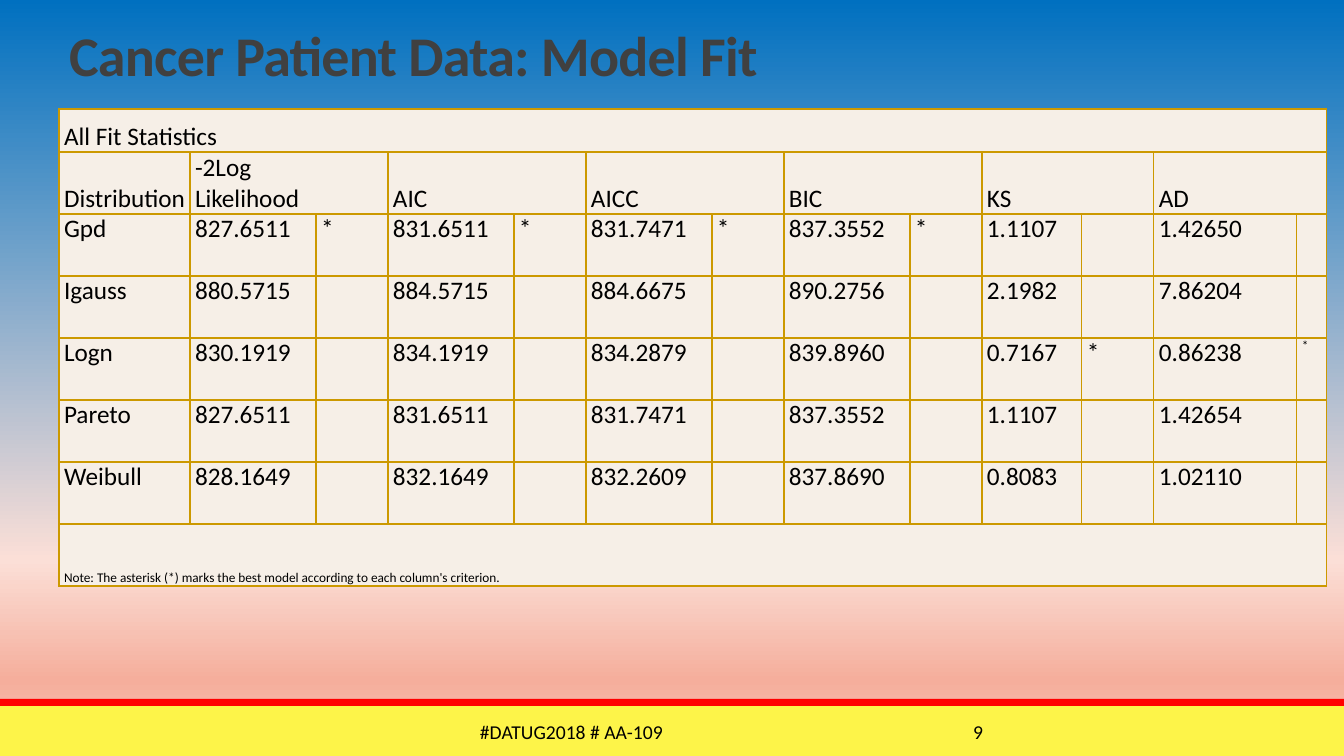
"""Build the model fit slide for the cancer patient data."""
import dataclasses
import typing

import pptx
import pptx.dml.color
import pptx.enum.dml
import pptx.enum.shapes
import pptx.enum.text
import pptx.oxml
import pptx.oxml.ns
import pptx.util

EMU_PER_PX = 914400 / 100.8
FONT = "Calibri"
ALIGN = pptx.enum.text.PP_ALIGN
ANCHOR = pptx.enum.text.MSO_ANCHOR

BLACK = pptx.dml.color.RGBColor(0x00, 0x00, 0x00)
CHARCOAL = pptx.dml.color.RGBColor(0x40, 0x40, 0x40)
YELLOW = pptx.dml.color.RGBColor(0xFD, 0xF4, 0x49)
RED = pptx.dml.color.RGBColor(0xFF, 0x00, 0x00)
CREAM = pptx.dml.color.RGBColor(0xF6, 0xEF, 0xE7)
GOLD = pptx.dml.color.RGBColor(0xCC, 0x99, 0x00)
SKY = {
    0: pptx.dml.color.RGBColor(0x00, 0x70, 0xC0),
    74: pptx.dml.color.RGBColor(0xFB, 0xDF, 0xD7),
    90: pptx.dml.color.RGBColor(0xF5, 0xAE, 0x9C),
    100: pptx.dml.color.RGBColor(0xF8, 0xC9, 0xBD),
}

CRITERIA = ["-2Log\nLikelihood", "AIC", "AICC", "BIC", "KS", "AD"]
FITS = {
    "Gpd": ["827.6511", "831.6511", "831.7471", "837.3552", "1.1107", "1.42650"],
    "Igauss": ["880.5715", "884.5715", "884.6675", "890.2756", "2.1982", "7.86204"],
    "Logn": ["830.1919", "834.1919", "834.2879", "839.8960", "0.7167", "0.86238"],
    "Pareto": ["827.6511", "831.6511", "831.7471", "837.3552", "1.1107", "1.42654"],
    "Weibull": ["828.1649", "832.1649", "832.2609", "837.8690", "0.8083", "1.02110"],
}
NOTE = "Note: The asterisk (*) marks the best model according to each column's criterion."
COLUMN_WIDTHS = [131] + [126, 72] * 4 + [100, 72, 143, 30]
ROW_HEIGHTS = [43] + [62] * 7


@dataclasses.dataclass(frozen=True)
class Area:
    """A rectangle on the slide in px."""

    left: int
    top: int
    width: int
    height: int


@dataclasses.dataclass(frozen=True)
class Bar:
    """A plain coloured bar of the footer."""

    area: Area
    color: pptx.dml.color.RGBColor


@dataclasses.dataclass(frozen=True)
class Label:
    """A line of footer text."""

    area: Area
    text: str
    alignment: ALIGN


BARS = [Bar(Area(0, 706, 1344, 50), YELLOW), Bar(Area(0, 699, 1344, 7), RED)]
LABELS = [
    Label(Area(306, 712, 531, 40), "#DATUG2018 # AA-109", ALIGN.CENTER),
    Label(Area(849, 712, 144, 40), "9", ALIGN.RIGHT),
]
TITLE_AREA = Area(59, 17, 1268, 76)
TABLE_AREA = Area(59, 109, sum(COLUMN_WIDTHS), sum(ROW_HEIGHTS))


def px(length: int) -> int:
    """Turn px into EMU."""
    return round(length * EMU_PER_PX)


def place(area: Area) -> list[int]:
    """Give left, top, width and height in EMU."""
    return [px(length) for length in dataclasses.astuple(area)]


def apply(target: typing.Any, values: dict[str, typing.Any]) -> None:
    """Set each named attribute of the target."""
    for name, value in values.items():
        setattr(target, name, value)


def write(frame: typing.Any, text: str, size: float, para_format: dict[str, typing.Any],
          color: pptx.dml.color.RGBColor = BLACK, bold: bool = False) -> None:
    """Write one formatted paragraph into a text frame."""
    para = frame.paragraphs[0]
    para.text = text
    apply(para, para_format)
    for run in para.runs:
        apply(run.font, {"name": FONT, "size": pptx.util.Pt(size), "bold": bold})
        run.font.color.rgb = color


def paint_background(page: typing.Any) -> None:
    """Fill the background with the vertical gradient."""
    fill = page.background.fill
    fill.gradient()
    fill.gradient_angle = 270
    stops = page.element.find(".//" + pptx.oxml.ns.qn("a:gsLst"))
    for stop in list(stops):
        stops.remove(stop)
    for percent, color in SKY.items():
        stops.append(pptx.oxml.parse_xml(
            f'<a:gs {pptx.oxml.ns.nsdecls("a")} pos="{percent * 1000}">'
            f'<a:srgbClr val="{color}"/></a:gs>'))


def draw_bar(page: typing.Any, bar: Bar) -> None:
    """Draw one footer bar."""
    shape = page.shapes.add_shape(pptx.enum.shapes.MSO_SHAPE.RECTANGLE, *place(bar.area))
    shape.shadow.inherit = False
    shape.fill.solid()
    shape.fill.fore_color.rgb = bar.color
    shape.line.fill.background()


def draw_label(page: typing.Any, label: Label) -> None:
    """Draw one footer text."""
    box = page.shapes.add_textbox(*place(label.area))
    apply(box.text_frame, {"word_wrap": True, "vertical_anchor": ANCHOR.MIDDLE})
    write(box.text_frame, label.text, 14, {"alignment": label.alignment})


def write_title(page: typing.Any) -> None:
    """Move and format the title placeholder."""
    title = page.shapes.title
    apply(title, dict(zip(("left", "top", "width", "height"), place(TITLE_AREA))))
    apply(title.text_frame, {"auto_size": pptx.enum.text.MSO_AUTO_SIZE.NONE,
                             "word_wrap": True, "vertical_anchor": ANCHOR.BOTTOM})
    write(title.text_frame, "Cancer Patient Data: Model Fit", 40,
          {"alignment": ALIGN.LEFT, "line_spacing": 0.85}, CHARCOAL, True)
    title.text_frame.paragraphs[0].runs[0].font._element.set("spc", "-50")


def format_cell(cell: typing.Any) -> None:
    """Give a cell its margins, fill and gold borders."""
    side, flat = pptx.util.Inches(0.05), 0
    apply(cell, {"margin_left": side, "margin_right": side,
                 "margin_top": flat, "margin_bottom": flat})
    cell.fill.solid()
    cell.fill.fore_color.rgb = CREAM
    properties = cell._tc.get_or_add_tcPr()
    for index, edge in enumerate(("lnL", "lnR", "lnT", "lnB")):
        properties.insert(index, pptx.oxml.parse_xml(
            f'<a:{edge} {pptx.oxml.ns.nsdecls("a")} w="12700"><a:solidFill>'
            f'<a:srgbClr val="{GOLD}"/></a:solidFill></a:{edge}>'))


def fill_cell(cell: typing.Any, text: str, size: float = 18,
              anchor: ANCHOR = ANCHOR.TOP) -> None:
    """Write a cell's text."""
    cell.vertical_anchor = anchor
    gap = pptx.util.Pt(3.4)
    write(cell.text_frame, text, size,
          {"alignment": ALIGN.JUSTIFY, "space_before": gap, "space_after": gap})


def draw_table(page: typing.Any) -> None:
    """Draw the fit statistics, marking the lowest value of each criterion."""
    table = page.shapes.add_table(len(ROW_HEIGHTS), len(COLUMN_WIDTHS),
                                  *place(TABLE_AREA)).table
    apply(table, {"first_row": False, "horz_banding": False})
    for column, width in zip(table.columns, COLUMN_WIDTHS):
        column.width = px(width)
    for row, height in zip(table.rows, ROW_HEIGHTS):
        row.height = px(height)
    for cell in table.iter_cells():
        format_cell(cell)
    last_row, last_column = len(ROW_HEIGHTS) - 1, len(COLUMN_WIDTHS) - 1
    for row, text, size in ((0, "All Fit Statistics", 18), (last_row, NOTE, 9.5)):
        table.cell(row, 0).merge(table.cell(row, last_column))
        fill_cell(table.cell(row, 0), text, size, ANCHOR.BOTTOM)
    fill_cell(table.cell(1, 0), "Distribution", anchor=ANCHOR.BOTTOM)
    for row, name in enumerate(FITS, 2):
        fill_cell(table.cell(row, 0), name)
    for index, criterion in enumerate(CRITERIA):
        column = 2 * index + 1
        table.cell(1, column).merge(table.cell(1, column + 1))
        fill_cell(table.cell(1, column), criterion, anchor=ANCHOR.BOTTOM)
        values = [fit[index] for fit in FITS.values()]
        for row, value in enumerate(values, 2):
            fill_cell(table.cell(row, column), value)
        best_row = values.index(min(values, key=float)) + 2
        fill_cell(table.cell(best_row, column + 1), "*", 9.5 if criterion == "AD" else 18)


def main() -> None:
    """Build and save the deck."""
    deck = pptx.Presentation()
    apply(deck, {"slide_width": px(1344), "slide_height": px(756)})
    page = deck.slides.add_slide(deck.slide_layouts.get_by_name("Title Only"))
    paint_background(page)
    for bar in BARS:
        draw_bar(page, bar)
    write_title(page)
    draw_table(page)
    for label in LABELS:
        draw_label(page, label)
    deck.save("out.pptx")


if __name__ == "__main__":
    main()
